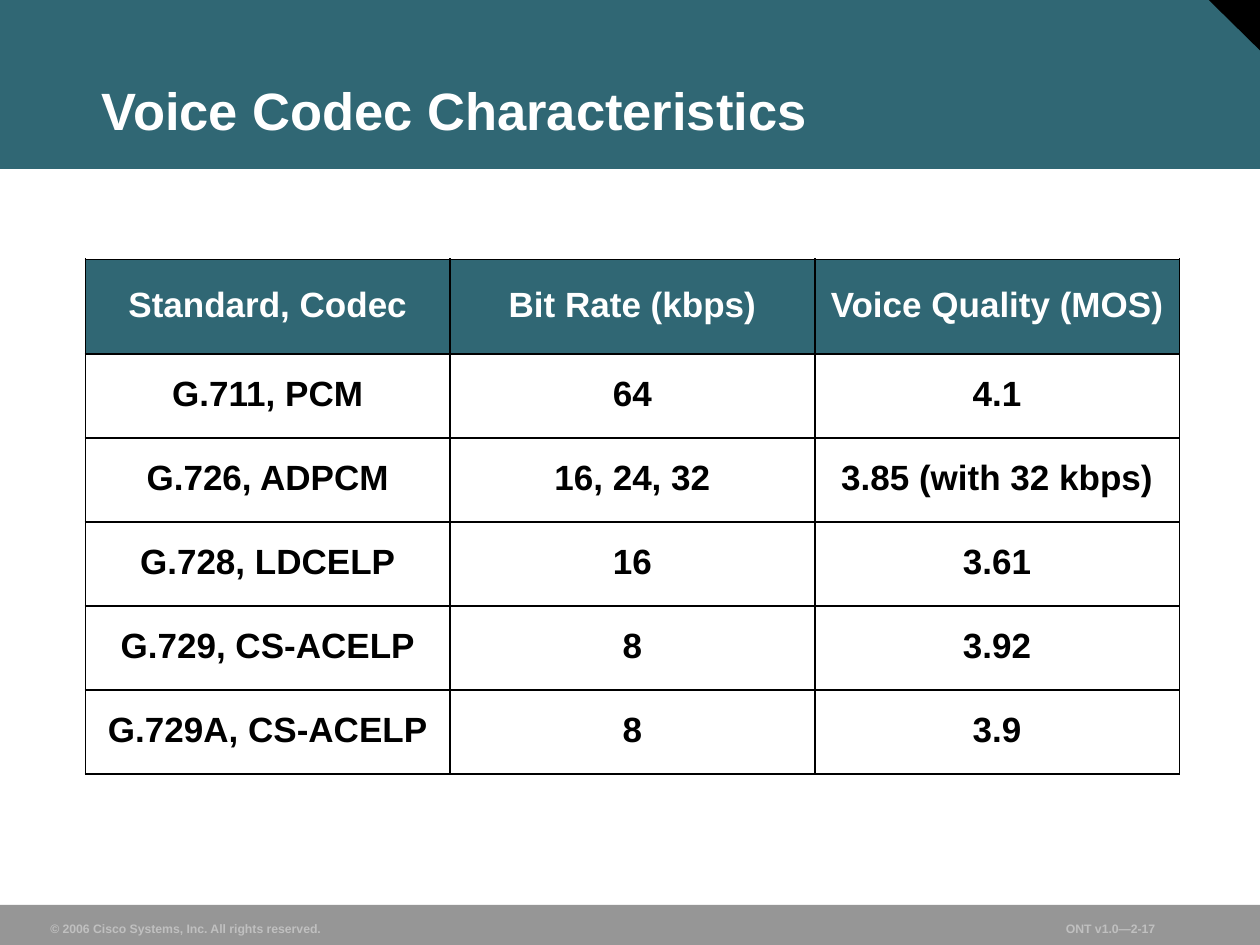
from typing import Any, NamedTuple

from lxml import etree
from pptx import Presentation
from pptx.dml.color import RGBColor
from pptx.enum.shapes import MSO_SHAPE
from pptx.enum.text import MSO_ANCHOR, MSO_AUTO_SIZE, PP_ALIGN
from pptx.oxml.ns import qn
from pptx.util import Pt

RECTANGLE = MSO_SHAPE.RECTANGLE
RIGHT_TRIANGLE = MSO_SHAPE.RIGHT_TRIANGLE
BOTTOM = MSO_ANCHOR.BOTTOM
MIDDLE = MSO_ANCHOR.MIDDLE
LEFT = PP_ALIGN.LEFT
CENTER = PP_ALIGN.CENTER
NO_AUTOFIT = MSO_AUTO_SIZE.NONE

TEAL = "306774"
BLACK = "000000"
WHITE = "FFFFFF"
GRAY = "969696"
SILVER = "C0C0C0"

TITLE_ONLY = 5
COLUMN_WIDTH = 208.4
HEADER_HEIGHT = 54
ROW_HEIGHT = 48
BORDER_WIDTH = 1.08
BORDER_SIDES = ("a:lnL", "a:lnR", "a:lnT", "a:lnB")


class Area(NamedTuple):
    left: float
    top: float
    width: float
    height: float


class Band(NamedTuple):
    kind: MSO_SHAPE
    area: Area
    fill: str
    rotation: float = 0


class Footer(NamedTuple):
    text: str
    area: Area


BANDS = [
    Band(RECTANGLE, Area(0, 0, 720, 96.6), TEAL),
    Band(RIGHT_TRIANGLE, Area(690, -0.7, 30, 29.5), BLACK, 180),
    Band(RECTANGLE, Area(0, 517, 720, 23), GRAY),
]

FOOTERS = [
    Footer("© 2006 Cisco Systems, Inc. All rights reserved.", Area(22.3, 522.7, 167.8, 15)),
    Footer("ONT v1.0—2-17", Area(602.6, 522.7, 90, 15)),
]

TITLE_AREA = Area(51.8, 18, 641.5, 66.2)
TABLE_ORIGIN = (48.8, 148.2)

CODECS = [
    ("Standard, Codec", "Bit Rate (kbps)", "Voice Quality (MOS)"),
    ("G.711, PCM", "64", "4.1"),
    ("G.726, ADPCM", "16, 24, 32", "3.85 (with 32 kbps)"),
    ("G.728, LDCELP", "16", "3.61"),
    ("G.729, CS-ACELP", "8", "3.92"),
    ("G.729A, CS-ACELP", "8", "3.9"),
]


def color(value: str) -> RGBColor:
    return RGBColor.from_string(value)


def apply(target: Any, formats: dict[str, Any]) -> None:
    for name, value in formats.items():
        setattr(target, name, value)


def points(area: Area) -> dict[str, Pt]:
    return {name: Pt(value) for name, value in area._asdict().items()}


def margins(horizontal: float, vertical: float) -> dict[str, Pt]:
    return {
        "margin_left": Pt(horizontal),
        "margin_right": Pt(horizontal),
        "margin_top": Pt(vertical),
        "margin_bottom": Pt(vertical),
    }


def write(frame: Any, text: str, size: float, fill: str, alignment: PP_ALIGN, spacing: float) -> None:
    paragraph = frame.paragraphs[0]
    apply(paragraph, {"alignment": alignment, "line_spacing": spacing})
    span = paragraph.add_run()
    span.text = text
    apply(span.font, {"name": "Arial", "size": Pt(size), "bold": True})
    span.font.color.rgb = color(fill)


def draw_band(page: Any, band: Band) -> None:
    shape = page.shapes.add_shape(band.kind, *points(band.area).values())
    shape.rotation = band.rotation
    shape.shadow.inherit = False
    shape.fill.solid()
    shape.fill.fore_color.rgb = color(band.fill)
    shape.line.fill.background()


def draw_footer(page: Any, footer: Footer) -> None:
    box = page.shapes.add_textbox(*points(footer.area).values())
    apply(box.text_frame, {"word_wrap": False, "vertical_anchor": BOTTOM, **margins(6.5, 3)})
    write(box.text_frame, footer.text, 7, SILVER, LEFT, 1)


def draw_title(page: Any, text: str) -> None:
    title = page.shapes.title
    page.shapes.element.append(title.element)
    apply(title, points(TITLE_AREA))
    frame = title.text_frame
    apply(frame, {"word_wrap": True, "auto_size": NO_AUTOFIT, "vertical_anchor": BOTTOM, **margins(6.5, 3)})
    write(frame, text, 30, WHITE, LEFT, 0.9)


def add_borders(cell: Any) -> None:
    properties = cell._tc.get_or_add_tcPr()
    for side in BORDER_SIDES:
        line = etree.SubElement(properties, qn(side), w=str(Pt(BORDER_WIDTH)))
        fill = etree.SubElement(line, qn("a:solidFill"))
        etree.SubElement(fill, qn("a:srgbClr"), val=BLACK)


def draw_cell(cell: Any, text: str, fill: str, ink: str) -> None:
    add_borders(cell)
    cell.fill.solid()
    cell.fill.fore_color.rgb = color(fill)
    apply(cell, {"vertical_anchor": MIDDLE, **margins(6.5, 3.6)})
    write(cell.text_frame, text, 20, ink, CENTER, 0.95)


def draw_table(page: Any, rows: list[tuple[str, ...]]) -> None:
    heights = [HEADER_HEIGHT] + [ROW_HEIGHT] * (len(rows) - 1)
    columns = len(rows[0])
    area = Area(*TABLE_ORIGIN, COLUMN_WIDTH * columns, sum(heights))
    table = page.shapes.add_table(len(rows), columns, *points(area).values()).table
    for column in table.columns:
        column.width = Pt(COLUMN_WIDTH)
    for index, (height, texts) in enumerate(zip(heights, rows)):
        table.rows[index].height = Pt(height)
        fill, ink = (WHITE, BLACK) if index else (TEAL, WHITE)
        for cell, text in zip(table.rows[index].cells, texts):
            draw_cell(cell, text, fill, ink)


def main() -> None:
    deck = Presentation()
    apply(deck, {"slide_width": Pt(720), "slide_height": Pt(540)})
    page = deck.slides.add_slide(deck.slide_layouts[TITLE_ONLY])
    page.background.fill.solid()
    page.background.fill.fore_color.rgb = color(WHITE)
    for band in BANDS:
        draw_band(page, band)
    for footer in FOOTERS:
        draw_footer(page, footer)
    draw_title(page, "Voice Codec Characteristics")
    draw_table(page, CODECS)
    deck.save("out.pptx")


if __name__ == "__main__":
    main()
